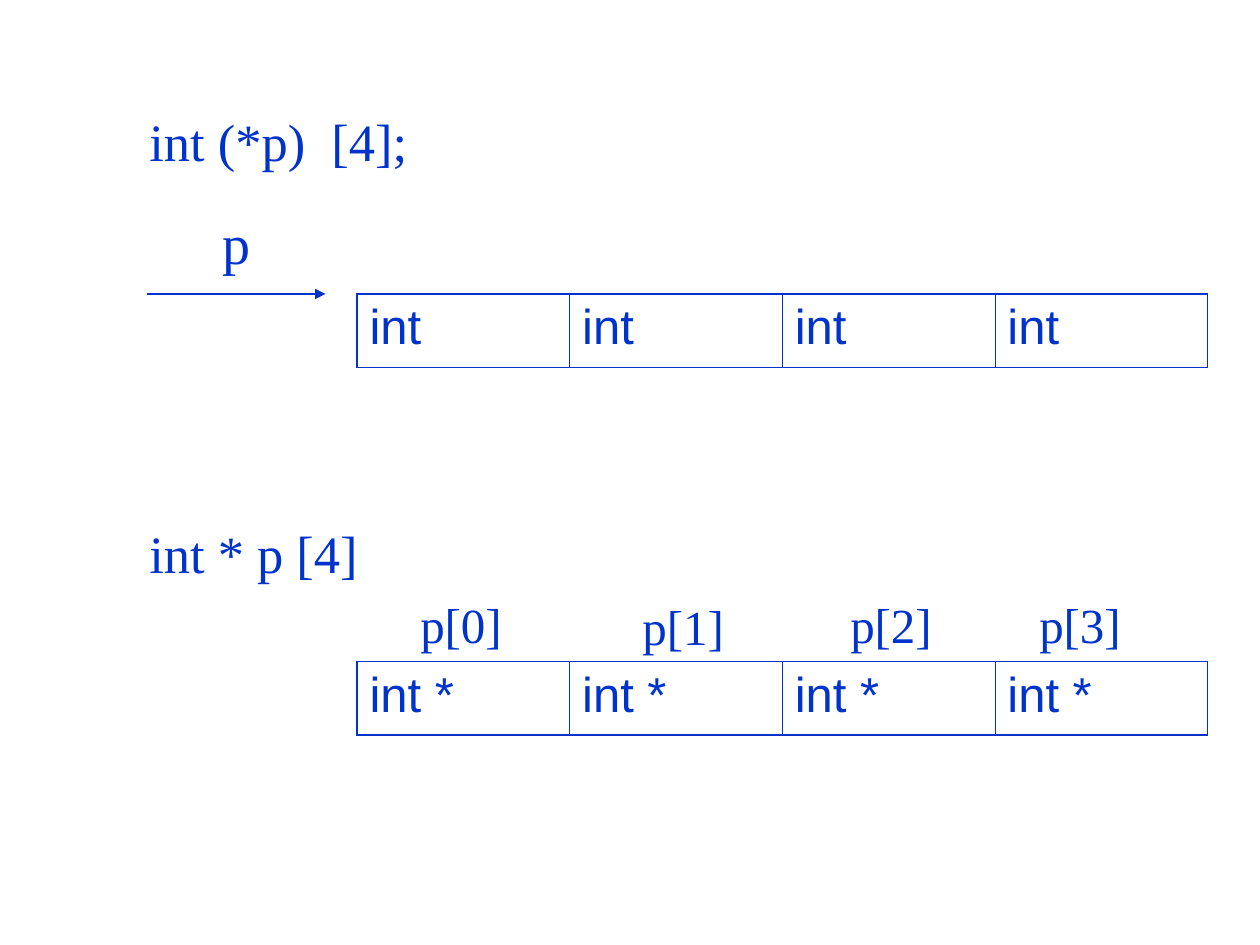
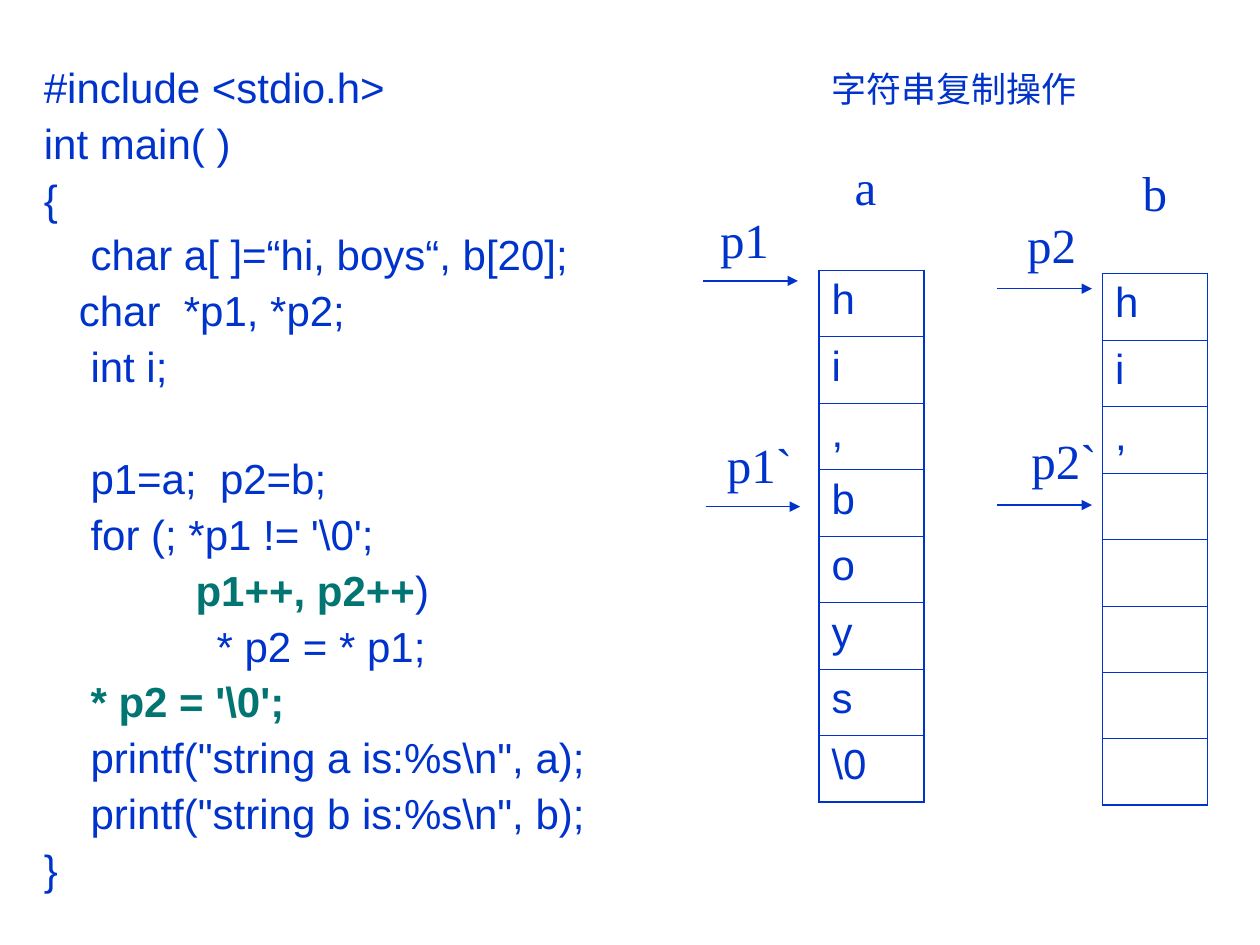
from pptx import Presentation
from pptx.dml.color import RGBColor
from pptx.enum.shapes import MSO_CONNECTOR
from pptx.enum.text import MSO_AUTO_SIZE
from pptx.oxml.ns import qn
from pptx.util import Inches, Pt
from lxml import etree

LINE = MSO_CONNECTOR.STRAIGHT
GROW = MSO_AUTO_SIZE.SHAPE_TO_FIT_TEXT
FIXED = MSO_AUTO_SIZE.NONE
HUES = {"blue": "0033CC", "green": "007572"}
SERIF, SANS = "Times New Roman", "Arial"
COLS = 120
THICK, THIN = 1.08, 0.45
STEPS = (0, 0.37, 1.37)


def put(obj, vals):
    """Set each attribute named in a dict."""
    for key, val in vals.items():
        setattr(obj, key, val)


class Deck:
    """Holds the style and the current slide; lengths are grid units."""

    def __init__(self):
        """Start an empty deck."""
        self.deck = Presentation()
        put(self.deck, {"slide_width": Inches(10), "slide_height": Inches(7.5)})
        self.unit = self.deck.slide_width / COLS

    def page(self):
        """Add a blank slide."""
        self.slide = self.deck.slides.add_slide(self.deck.slide_layouts[6])

    def span(self, *cells):
        """Turn grid units into lengths."""
        return [round(cell * self.unit) for cell in cells]

    def run(self, para, text, face, size, hue="blue"):
        """Add a styled run."""
        run = para.add_run()
        run.text = text
        put(run.font, {"name": face, "size": Pt(size), "bold": hue == "green"})
        run.font.color.rgb = RGBColor.from_string(HUES[hue])

    def label(self, text, x, y, w, h=6.8, size=28):
        """Add one line of serif text."""
        frame = self.slide.shapes.add_textbox(*self.span(x, y, w, h)).text_frame
        put(frame, {"word_wrap": False, "auto_size": GROW})
        self.run(frame.paragraphs[0], text, SERIF, size)

    def arrow(self, x, y, w):
        """Add a level arrow that points right."""
        line = self.slide.shapes.add_connector(LINE, *self.span(x, y, x + w, y))
        line.line.width = Pt(0.75)
        line.line.color.rgb = RGBColor.from_string(HUES["blue"])
        etree.SubElement(line.line._get_or_add_ln(), qn("a:tailEnd"), type="triangle")
        etree.SubElement(line._element.spPr, qn("a:effectLst"))

    def edge(self, cell, side, width):
        """Draw one border of a cell."""
        line = etree.SubElement(cell._tc.get_or_add_tcPr(), qn("a:ln" + side), w=str(Pt(width)))
        fill = etree.SubElement(line, qn("a:solidFill"))
        etree.SubElement(fill, qn("a:srgbClr"), val=HUES["blue"])

    def grid(self, rows, x, y, w, h, size):
        """Add a ruled table with a heavy frame."""
        high, wide = len(rows), len(rows[0])
        table = self.slide.shapes.add_table(high, wide, *self.span(x, y, w, h)).table
        put(table, {"first_row": False, "horz_banding": False})
        for r, row in enumerate(rows):
            for c, text in enumerate(row):
                cell = table.cell(r, c)
                rims = {"L": c == 0, "R": c == wide - 1, "T": r == 0, "B": r == high - 1}
                for side, rim in rims.items():
                    self.edge(cell, side, THICK if rim else THIN)
                cell.fill.background()
                if text:
                    self.run(cell.text_frame.paragraphs[0], text, SANS, size)

    def code(self, lines, x, y, w, h):
        """Add a listing; each line is an indent level, a gap and its runs."""
        frame = self.slide.shapes.add_textbox(*self.span(x, y, w, h)).text_frame
        put(frame, {"word_wrap": True, "auto_size": FIXED})
        for i, (level, gap, *runs) in enumerate(lines):
            para = frame.add_paragraph() if i else frame.paragraphs[0]
            props = para._p.get_or_add_pPr()
            for key, val in {"marL": STEPS[level], "indent": 0}.items():
                props.set(key, str(Inches(val)))
            put(para, {"line_spacing": 0.9, "space_before": Pt(gap)})
            for text, hue in runs:
                self.run(para, text, SANS, 24, hue)


def arrays(deck):
    """Compare a pointer to an array with an array of pointers."""
    deck.page()
    deck.label("int (*p)  [4];", 13.05, 9.75, 28.5, 7.2, 30)
    deck.label("int * p [4]", 13.05, 49, 22.8, 7.2, 30)
    deck.label("p", 20, 19.25, 5.1, 7.7, 32)
    deck.arrow(14, 28, 17)
    for kind, y in (("int", 28), ("int *", 63)):
        deck.grid([[kind] * 4], 34, y, 81, 7, 28)
    for i, (x, y) in enumerate([(38.85, 56), (60, 56.2), (79.8, 56), (97.8, 56)]):
        deck.label(f"p[{i}]", x, y, 10.6)


def strings(deck):
    """Show how a string is copied."""
    deck.page()
    deck.code([
        (0, 0, ("#include <stdio.h>", "blue")),
        (0, 6, ("int main( )", "blue")),
        (0, 6, ("{", "blue")),
        (1, 6, ("char a[ ]=“hi, boys“, b[20];", "blue")),
        (0, 6, ("   char  *p1, *p2;", "blue")),
        (1, 6, ("int i;", "blue")),
        (1, 38, ("p1=a;  p2=b;", "blue")),
        (1, 6, (r"for (; *p1 != '\0';", "blue")),
        (0, 6, ("             ", "blue"), ("p1++, p2++", "green"), (")", "blue")),
        (2, 6, ("* p2 = * p1;", "blue")),
        (1, 6, (r"* p2 = '\0';", "green")),
        (1, 6, (r'printf("string a is:%s\n", a);', "blue")),
        (1, 6, (r'printf("string b is:%s\n", b);', "blue")),
        (0, 6, ("}", "blue")),
    ], 3, 5.8, 68, 54)
    full = [*"hi,boys", r"\0"]
    part = [*"hi,"] + [""] * 5
    for marks, x, y in ((full, 78, 25.75), (part, 105, 26.05)):
        deck.grid([[mark] for mark in marks], x, y, 10, 50.67, 24)
    for text, x, y, w in (("a", 80.2, 14.3, 4.5), ("b", 107.65, 14.9, 4.8),
                          ("p1", 67.4, 19.35, 7.2), ("p2", 96.65, 19.8, 7.2),
                          ("p1`", 68.05, 40.8, 8.8), ("p2`", 97.05, 40.4, 8.8)):
        deck.label(text, x, y, w)
    for x, y in ((67, 26.75), (95, 27.5), (67.2, 48.25), (95, 48.1)):
        deck.arrow(x, y, 9)
    deck.label("字符串复制操作", 78, 5.8, 25.8, 5.3, 20)


def main():
    """Build and save the slides."""
    deck = Deck()
    arrays(deck)
    strings(deck)
    deck.deck.save("out.pptx")


if __name__ == "__main__":
    main()
